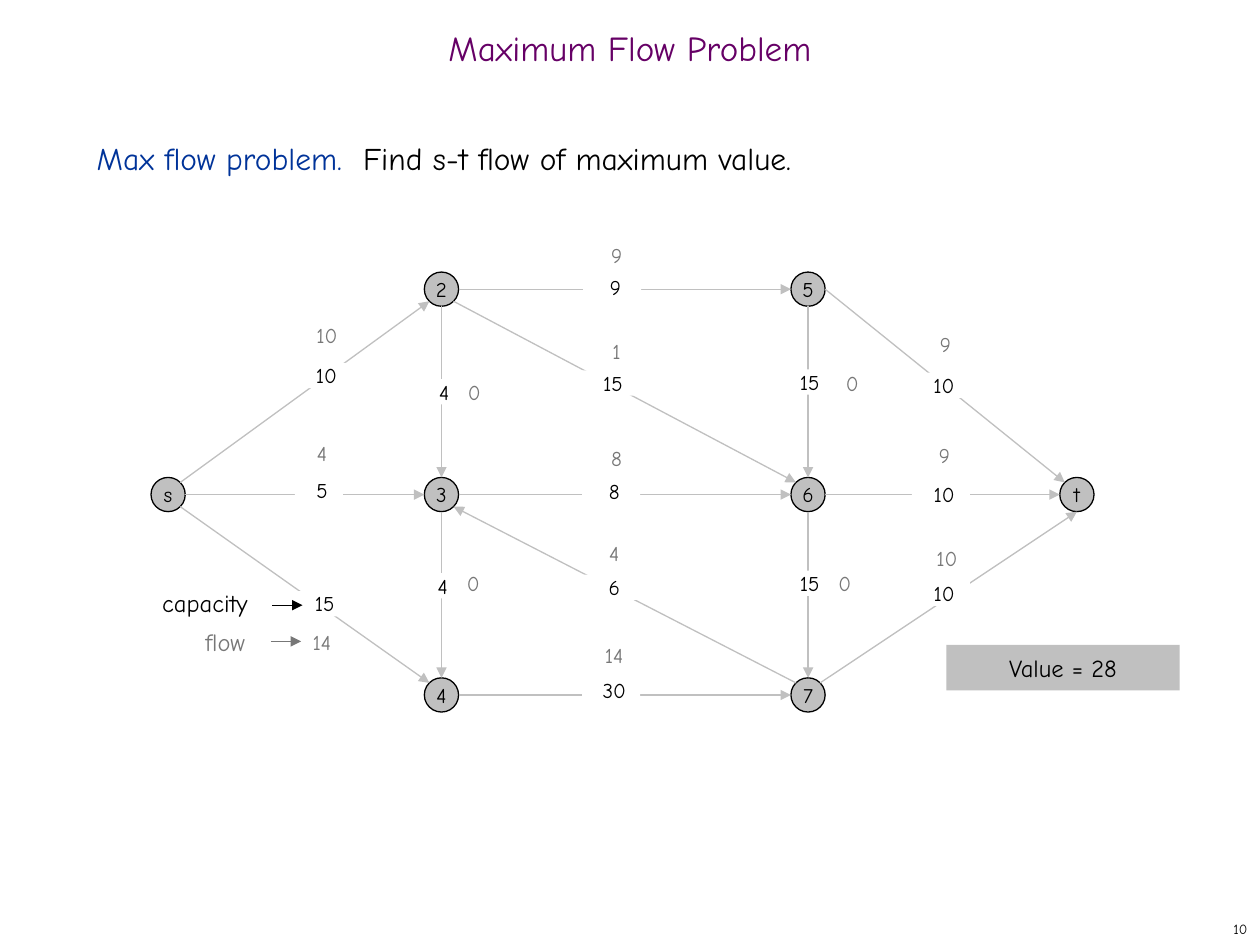
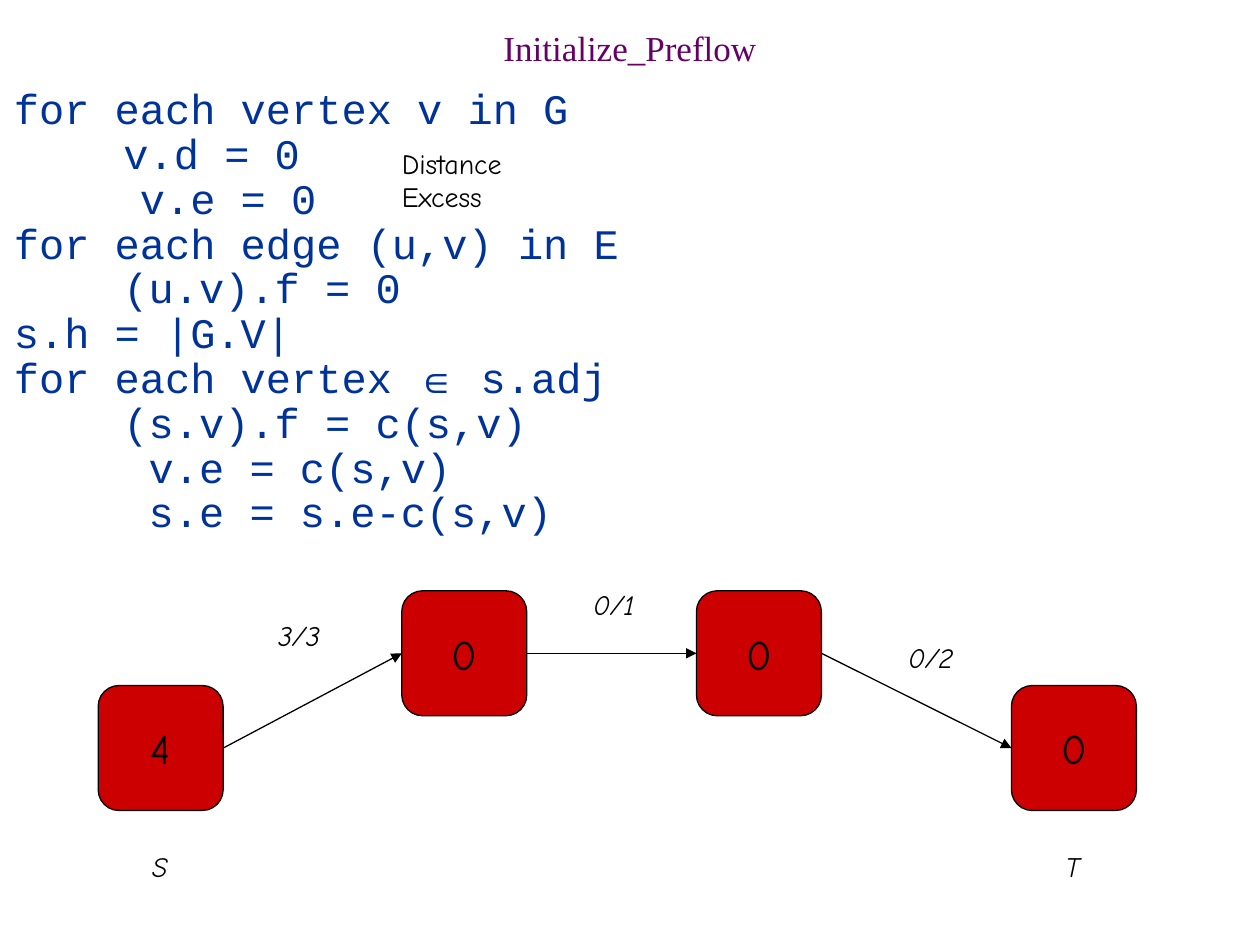
from math import sqrt

from lxml.etree import SubElement
from pptx import Presentation
from pptx.dml.color import RGBColor
from pptx.enum.shapes import MSO_CONNECTOR, MSO_SHAPE
from pptx.enum.text import MSO_ANCHOR, MSO_AUTO_SIZE, PP_ALIGN
from pptx.oxml.ns import qn
from pptx.util import Cm, Pt

# Shared style
PURPLE = RGBColor(0x66, 0x00, 0x66)
BLUE = RGBColor(0x00, 0x33, 0x99)
RED = RGBColor(0xCC, 0x00, 0x00)
BLACK = RGBColor(0x00, 0x00, 0x00)
WHITE = RGBColor(0xFF, 0xFF, 0xFF)
SILVER = RGBColor(0xC0, 0xC0, 0xC0)
GRAY = RGBColor(0x77, 0x77, 0x77)
SANS, SERIF, MONO, SYMBOL = "Comic Neue", "Times New Roman", "Courier New", "Arial"
LEFT, CENTER, RIGHT = PP_ALIGN.LEFT, PP_ALIGN.CENTER, PP_ALIGN.RIGHT
WIDTH, HEIGHT = 25.4, 19.05
INSETS = (0.25, 0.13, 0.25, 0.13)
NO_INSETS = (0, 0, 0, 0)
BODY_SPACING = Pt(25.6)

# Slide 1: flow network, centres in cm
NODE_SIZE = 0.69
COLUMNS = (3.39, 8.9, 16.29, 21.71)
ROWS = (5.83, 9.97, 14.01)
NODES = {  # name: (column, row)
    "s": (0, 1), "2": (1, 0), "3": (1, 1), "4": (1, 2),
    "5": (2, 0), "6": (2, 1), "7": (2, 2), "t": (3, 1),
}
D = 1 / sqrt(2)
COMPASS = {"N": (0, -1), "E": (1, 0), "S": (0, 1), "W": (-1, 0),
           "NE": (D, -D), "SE": (D, D), "SW": (-D, D), "NW": (-D, -D)}
EDGES = [  # from, side, to, side, capacity, its centre, flow, its centre
    ("s", "NE", "2", "SW", 10, (6.4, 7.57), 10, (6.59, 6.74)),
    ("s", "E", "3", "W", 5, (6.43, 9.88), 4, (6.49, 9.13)),
    ("s", "SE", "4", "NW", 15, (6.48, 12.17), 14, (6.49, 12.94)),
    ("2", "E", "5", "W", 9, (12.34, 5.79), 9, (12.43, 5.12)),
    ("2", "SE", "6", "NW", 15, (12.29, 7.72), 1, (12.43, 7.07)),
    ("2", "S", "3", "N", 4, (8.89, 7.9), 0, (9.56, 7.89)),
    ("3", "E", "6", "W", 8, (12.32, 9.91), 8, (12.43, 9.23)),
    ("3", "S", "4", "N", 4, (8.86, 11.81), 0, (9.54, 11.75)),
    ("7", "NW", "3", "SE", 6, (12.32, 11.84), 4, (12.38, 11.14)),
    ("4", "E", "7", "W", 30, (12.32, 13.92), 14, (12.38, 13.2)),
    ("5", "S", "6", "N", 15, (16.26, 7.7), 0, (17.18, 7.71)),
    ("6", "S", "7", "N", 15, (16.26, 11.76), 0, (17.03, 11.75)),
    ("5", "E", "t", "NW", 10, (18.85, 7.77), 9, (19.06, 6.92)),
    ("6", "E", "t", "W", 10, (18.97, 9.96), 9, (19.04, 9.16)),
    ("7", "NE", "t", "S", 10, (18.97, 11.96), 10, (19.09, 11.24)),
]
CAPACITY_WIDTH = {("s", "3"): 0.97}
CAPACITY_INSET = {("s", "2"): 0.36, ("5", "t"): 0.36}
LEGEND = [  # word, colour, box, arrow start
    ("capacity", BLACK, (3.02, 11.73, 2.41, 0.84), (5.49, 12.2)),
    ("flow", GRAY, (3.89, 12.52, 1.5, 0.84), (5.46, 12.93)),
]

# Slide 2: pseudocode and preflow chain
CODE = [  # indent level, line
    (0, "for each vertex v in G"),
    (1, "v.d = 0"),
    (0, "     v.e = 0"),
    (0, "for each edge (u,v) in E"),
    (1, "(u.v).f = 0"),
    (0, "s.h = |G.V|"),
    (0, "for each vertex ∈ s.adj"),
    (1, "(s.v).f = c(s,v)"),
    (1, " v.e = c(s,v)"),
    (1, " s.e = s.e-c(s,v)"),
]
CODE_INDENTS = (0.03, 2.24)
BOX_SIZE = 2.52
EXCESS = [("4", 1.98, 13.82), ("0", 8.1, 11.91), ("0", 14.04, 11.91), ("0", 20.39, 13.82)]
CHAIN_LABELS = [
    ("3/3", (5.36, 12.34, 1.47, 0.94)), ("0/1", (11.71, 11.71, 1.4, 0.94)),
    ("0/2", (18.06, 12.78, 1.47, 0.94)),
    ("S", (2.82, 16.99, 0.89, 0.94)), ("T", (21.23, 16.99, 0.89, 0.94)),
]


def around(center, w, h):
    return center[0] - w / 2, center[1] - h / 2, w, h


def style(p, size, color=BLACK, name=SANS, align=LEFT, italic=False):
    p.alignment = align
    f = p.font
    f.size, f.name, f.italic = Pt(size), name, italic
    f.color.rgb = color


def frame(sp, insets=INSETS, wrap=True, anchor=MSO_ANCHOR.TOP):
    tf = sp.text_frame
    tf.auto_size = MSO_AUTO_SIZE.NONE
    tf.word_wrap, tf.vertical_anchor = wrap, anchor
    tf.margin_left, tf.margin_top, tf.margin_right, tf.margin_bottom = map(Cm, insets)
    return tf


def add_text(slide, text, box, size, color=BLACK, align=LEFT, italic=False, **layout):
    tf = frame(slide.shapes.add_textbox(*map(Cm, box)), **layout)
    tf.text = text
    for p in tf.paragraphs:
        style(p, size, color, align=align, italic=italic)
    return tf


def add_box(slide, kind, box, fill, text, size, line=None, **layout):
    sp = slide.shapes.add_shape(kind, *map(Cm, box))
    sp.shadow.inherit = False
    sp.fill.solid()
    sp.fill.fore_color.rgb = fill
    if line is None:
        sp.line.fill.background()
    else:
        sp.line.color.rgb = line
        sp.line.width = Pt(0.75)
    tf = frame(sp, **layout)
    tf.text = text
    style(tf.paragraphs[0], size, align=CENTER)
    return sp


def add_arrow(slide, start, end, color):
    c = slide.shapes.add_connector(MSO_CONNECTOR.STRAIGHT, *map(Cm, (*start, *end)))
    c.line.color.rgb = color
    c.line.width = Pt(0.75)
    SubElement(c.line._get_or_add_ln(), qn("a:tailEnd"), type="triangle")
    SubElement(c._element.spPr, qn("a:effectLst"))
    return c


def add_slide(prs, title, font):
    slide = prs.slides.add_slide(prs.slide_layouts[5])
    sp = slide.shapes.title
    sp.left, sp.top, sp.width, sp.height = map(Cm, (0, 0.43, WIDTH, 1.27))
    tf = frame(sp, anchor=MSO_ANCHOR.MIDDLE)
    tf.text = title
    p = tf.paragraphs[0]
    p.line_spacing = 0.7
    style(p, 20, PURPLE, font, CENTER)
    return slide


def build_flow_problem(prs):
    slide = add_slide(prs, "Maximum Flow Problem", SANS)
    add_text(slide, "10", (20.12, 18.42, 5.28, 0.63), 8, align=RIGHT,
             wrap=False, anchor=MSO_ANCHOR.MIDDLE)

    # Problem statement
    tf = add_text(slide, "Max flow problem.  ", (1.7, 2.54, 21.8, 1.3), 18)
    p = tf.paragraphs[0]
    p.line_spacing = BODY_SPACING
    p.runs[0].font.color.rgb = BLUE
    p.add_run().text = "Find s-t flow of maximum value."

    # Nodes
    centers = {name: (COLUMNS[c], ROWS[r]) for name, (c, r) in NODES.items()}
    for name, center in centers.items():
        add_box(slide, MSO_SHAPE.OVAL, around(center, NODE_SIZE, NODE_SIZE), SILVER,
                name, 12, BLACK, wrap=False, anchor=MSO_ANCHOR.MIDDLE)

    # Edges run from rim to rim; capacities sit on them, flows beside them
    def rim(name, side):
        return [c + d * NODE_SIZE / 2 for c, d in zip(centers[name], COMPASS[side])]

    for u, u_side, v, v_side, *_ in EDGES:
        add_arrow(slide, rim(u, u_side), rim(v, v_side), SILVER)
    for u, _, v, _, capacity, cap_at, flow, flow_at in EDGES:
        width = CAPACITY_WIDTH.get((u, v), 1.17)
        inset = CAPACITY_INSET.get((u, v), 0.13)
        add_box(slide, MSO_SHAPE.RECTANGLE, around(cap_at, width, 0.51), WHITE,
                str(capacity), 12, insets=(inset, 0, 0, 0))
        add_text(slide, str(flow), around(flow_at, 0.94, 0.48), 12, GRAY, CENTER,
                 insets=NO_INSETS)

    # Legend and flow value
    for word, color, box, (x, y) in LEGEND:
        add_text(slide, word, box, 14, color, wrap=False)
        add_arrow(slide, (x, y), (x + 0.61, y), color)
    add_box(slide, MSO_SHAPE.RECTANGLE, (19.08, 13, 4.7, 0.92), SILVER, "Value = 28", 14,
            insets=(0.25,) * 4, anchor=MSO_ANCHOR.MIDDLE)


def build_preflow(prs):
    slide = add_slide(prs, "Initialize_Preflow", SERIF)

    # Pseudocode
    tf = frame(slide.shapes.add_textbox(*map(Cm, (0, 1.65, 13.2, 9.68))))
    for i, (level, line) in enumerate(CODE):
        p = tf.add_paragraph() if i else tf.paragraphs[0]
        p._p.get_or_add_pPr().set("marL", str(Cm(CODE_INDENTS[level])))
        p.line_spacing = BODY_SPACING
        style(p, 24, BLUE, MONO)
        before, sign, after = line.partition("∈")
        for part in filter(None, (before, sign, after)):
            r = p.add_run()
            r.text = part
            if part == "∈":
                r.font.name, r.font.size = SYMBOL, Pt(22)
    add_text(slide, "Distance\nExcess", (7.85, 2.82, 2.79, 1.63), 16, wrap=False)

    # Chain of vertices with their excess
    boxes = [add_box(slide, MSO_SHAPE.ROUNDED_RECTANGLE, (x, y, BOX_SIZE, BOX_SIZE), RED,
                     excess, 24, BLACK, wrap=False, anchor=MSO_ANCHOR.MIDDLE)
             for excess, x, y in EXCESS]
    for a, b in zip(boxes, boxes[1:]):
        c = add_arrow(slide, (0, 0), (1, 1), BLACK)
        c.begin_connect(a, 3)
        c.end_connect(b, 1)
    for text, box in CHAIN_LABELS:
        add_text(slide, text, box, 16, italic=True, wrap=False)


def main():
    prs = Presentation()
    prs.slide_width, prs.slide_height = Cm(WIDTH), Cm(HEIGHT)
    build_flow_problem(prs)
    build_preflow(prs)
    prs.save("out.pptx")


if __name__ == "__main__":
    main()
